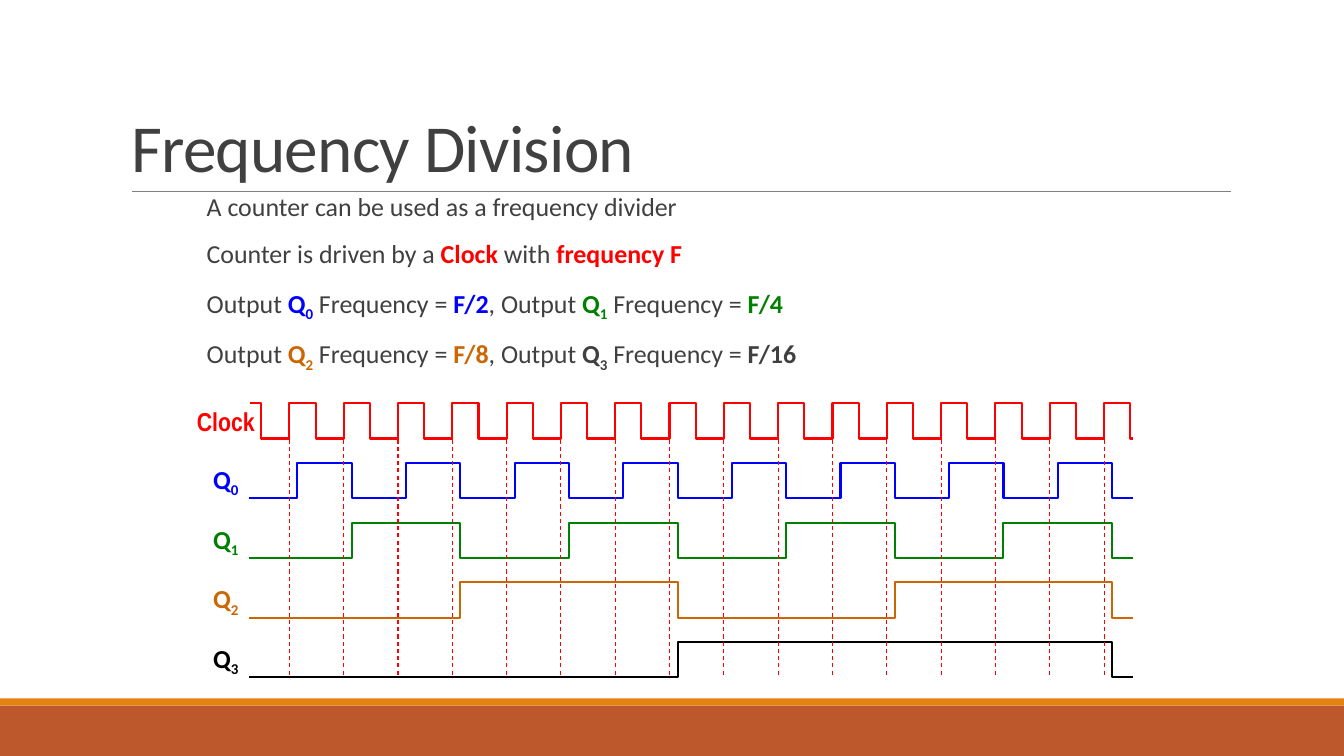
from dataclasses import dataclass

from lxml.etree import SubElement
from pptx import Presentation
from pptx.dml.color import RGBColor
from pptx.enum.dml import MSO_LINE
from pptx.enum.shapes import MSO_CONNECTOR, MSO_SHAPE
from pptx.enum.text import MSO_ANCHOR, MSO_AUTO_SIZE, PP_ALIGN
from pptx.oxml.ns import qn
from pptx.util import Inches, Pt


@dataclass(frozen=True)
class Theme:
    ink: str = "404040"
    rule: str = "808080"
    band: str = "BD582C"
    stripe: str = "E48312"
    clock: str = "FF0000"
    outputs: tuple = ("0000FF", "008000", "CC6600", "000000")
    font: str = "Calibri"
    clock_font: str = "Arial Narrow"
    title_size: float = 48
    text_size: float = 18.5


THEME = Theme()
WIDTH, HEIGHT = 13.33, 7.5

# Timing grid: one column per clock cycle, one row per signal
WAVE_LEFT, WAVE_RIGHT = 2.47, 11.24
FIRST_RISE, LAST_RISE, CYCLES = 2.87, 10.95, 16
CYCLE = (LAST_RISE - FIRST_RISE) / (CYCLES - 1)
HIGH_TIME = 0.26
OUTPUT_DELAY = 0.08
FIRST_ROW, LAST_ROW, SWING = 4, 6.37, 0.35
ROW_PITCH = (LAST_ROW - FIRST_ROW) / len(THEME.outputs)
RISES = [FIRST_RISE + cycle * CYCLE for cycle in range(CYCLES)]
# Length of a pulse's high ends, per cycle that the signal stays level
LEAD, TAIL = 0.23, 0.47


def rgb(colour):
    return RGBColor.from_string(colour)


def row_top(row):
    return FIRST_ROW + row * ROW_PITCH


def set_font(font, size, colour, name=THEME.font, bold=None):
    font.name, font.size, font.bold = name, Pt(size), bold
    font.color.rgb = rgb(colour)


def add_run(paragraph, text, colour=None, subscript=False):
    """Add a run; a colour also makes it bold."""
    run = paragraph.add_run()
    run.text = text
    if colour:
        run.font.bold = True
        run.font.color.rgb = rgb(colour)
    if subscript:
        run.font._element.set("baseline", "-25000")


def place(shape, left, top, width, height):
    shape.left, shape.top = Inches(left), Inches(top)
    shape.width, shape.height = Inches(width), Inches(height)


def add_band(slide, top, height, colour):
    band = slide.shapes.add_shape(
        MSO_SHAPE.RECTANGLE, 0, Inches(top), Inches(WIDTH), Inches(height))
    band.shadow.inherit = False
    band.fill.solid()
    band.fill.fore_color.rgb = rgb(colour)
    band.line.fill.background()


def add_line(slide, start, end, colour, weight, dash=None):
    line = slide.shapes.add_connector(
        MSO_CONNECTOR.STRAIGHT, *(Inches(v) for v in (*start, *end)))
    line.line.color.rgb = rgb(colour)
    line.line.width = Pt(weight)
    if dash:
        line.line.dash_style = dash
    SubElement(line._element.spPr, qn("a:effectLst"))


def add_title(slide, text):
    title = slide.shapes.title
    place(title, 1.2, 0.31, 11, 1.59)
    frame = title.text_frame
    frame.text = text
    frame.auto_size = MSO_AUTO_SIZE.NONE
    frame.vertical_anchor = MSO_ANCHOR.BOTTOM
    heading = frame.paragraphs[0]
    heading.alignment = PP_ALIGN.LEFT
    heading.line_spacing = 0.85
    set_font(heading.font, THEME.title_size, THEME.ink)
    heading.runs[0].font._element.set("spc", "-50")


def add_statements(slide, statements):
    body = slide.placeholders[1]
    place(body, 1.95, 1.9, 8.96, 1.81)
    frame = body.text_frame
    frame.auto_size = MSO_AUTO_SIZE.NONE
    frame.margin_left = frame.margin_right = 0
    for index, runs in enumerate(statements):
        statement = frame.add_paragraph() if index else frame.paragraphs[0]
        statement.line_spacing = 0.8
        statement.space_before, statement.space_after = Pt(13.8), Pt(2)
        properties = statement._p.get_or_add_pPr()
        properties.set("marL", str(Inches(0.1)))
        properties.set("indent", str(-Inches(0.1)))
        SubElement(properties, qn("a:buChar"), char=" ")
        set_font(statement.font, THEME.text_size, THEME.ink)
        for run in runs:
            add_run(statement, *run)


def output_frequency(index, colour):
    """Runs that state the frequency of one counter output."""
    return [("Output ",), ("Q", colour), (str(index), colour, True),
            (" Frequency = ",), (f"F/{2 ** (index + 1)}", colour)]


def add_pulse(slide, row, fall, rise, level_cycles, colour):
    """Draw one low stretch; without a fall or rise it runs to the edge."""
    high = row_top(row)
    low = high + SWING
    if fall is None:
        points = [(WAVE_LEFT, low)]
    else:
        points = [(fall - LEAD * level_cycles, high), (fall, high), (fall, low)]
    if rise is None:
        points.append((WAVE_RIGHT, low))
    else:
        points += [(rise, low), (rise, high), (rise + TAIL * level_cycles, high)]
    start, *rest = [(Inches(x), Inches(y)) for x, y in points]
    builder = slide.shapes.build_freeform(*start)
    builder.add_line_segments(rest, close=False)
    pulse = builder.convert_to_shape()
    pulse.shadow.inherit = False
    pulse.fill.background()
    pulse.line.color.rgb = rgb(colour)
    pulse.line.width = Pt(1.5)


def add_wave(slide, row, falls, rises, level_cycles, colour):
    for fall, rise in zip(falls, rises):
        add_pulse(slide, row, fall, rise, level_cycles, colour)


def add_signal_label(slide, row, text, colour, subscript="", font=THEME.font):
    label = slide.shapes.add_textbox(
        Inches(1.94), Inches(row_top(row) + 0.01), Inches(0.6), Inches(0.34))
    frame = label.text_frame
    frame.word_wrap = False
    frame.vertical_anchor = MSO_ANCHOR.MIDDLE
    frame.margin_left = frame.margin_right = 0
    frame.margin_top = frame.margin_bottom = 0
    name = frame.paragraphs[0]
    name.alignment = PP_ALIGN.CENTER
    set_font(name.font, THEME.text_size, colour, font, True)
    add_run(name, text)
    if subscript:
        add_run(name, subscript, subscript=True)


def add_timing_diagram(slide):
    clock_falls = [rise + HIGH_TIME for rise in [FIRST_RISE - CYCLE, *RISES]]
    add_wave(slide, 0, clock_falls, [*RISES, None], 0.5, THEME.clock)
    for index, colour in enumerate(THEME.outputs):
        step = 2 ** index
        edges = [rise + OUTPUT_DELAY for rise in RISES[step - 1::step]]
        add_wave(slide, index + 1, [None, *edges[1::2]], [*edges[::2], None],
                 step, colour)
    for rise in RISES:
        add_line(slide, (rise, 4.36), (rise, LAST_ROW + SWING),
                 THEME.clock, 0.75, MSO_LINE.DASH)
    add_signal_label(slide, 0, "Clock", THEME.clock, font=THEME.clock_font)
    for index, colour in enumerate(THEME.outputs):
        add_signal_label(slide, index + 1, "Q", colour, str(index))


def main():
    deck = Presentation()
    deck.slide_width, deck.slide_height = Inches(WIDTH), Inches(HEIGHT)
    slide = deck.slides.add_slide(deck.slide_layouts[1])
    add_band(slide, 7, 0.5, THEME.band)
    add_band(slide, 6.93, 0.07, THEME.stripe)
    add_line(slide, (1.31, 1.9), (12.21, 1.9), THEME.rule, 0.5)
    add_title(slide, "Frequency Division")
    q0, q1, q2, q3 = (
        output_frequency(index, colour)
        for index, colour in enumerate((*THEME.outputs[:3], THEME.ink)))
    add_statements(slide, [
        [("A counter can be used as a frequency divider",)],
        [("Counter is driven by a ",), ("Clock ", THEME.clock),
         ("with ",), ("frequency F", THEME.clock)],
        [*q0, (", ",), *q1],
        [*q2, (", ",), *q3],
    ])
    add_timing_diagram(slide)
    deck.save("out.pptx")


if __name__ == "__main__":
    main()
